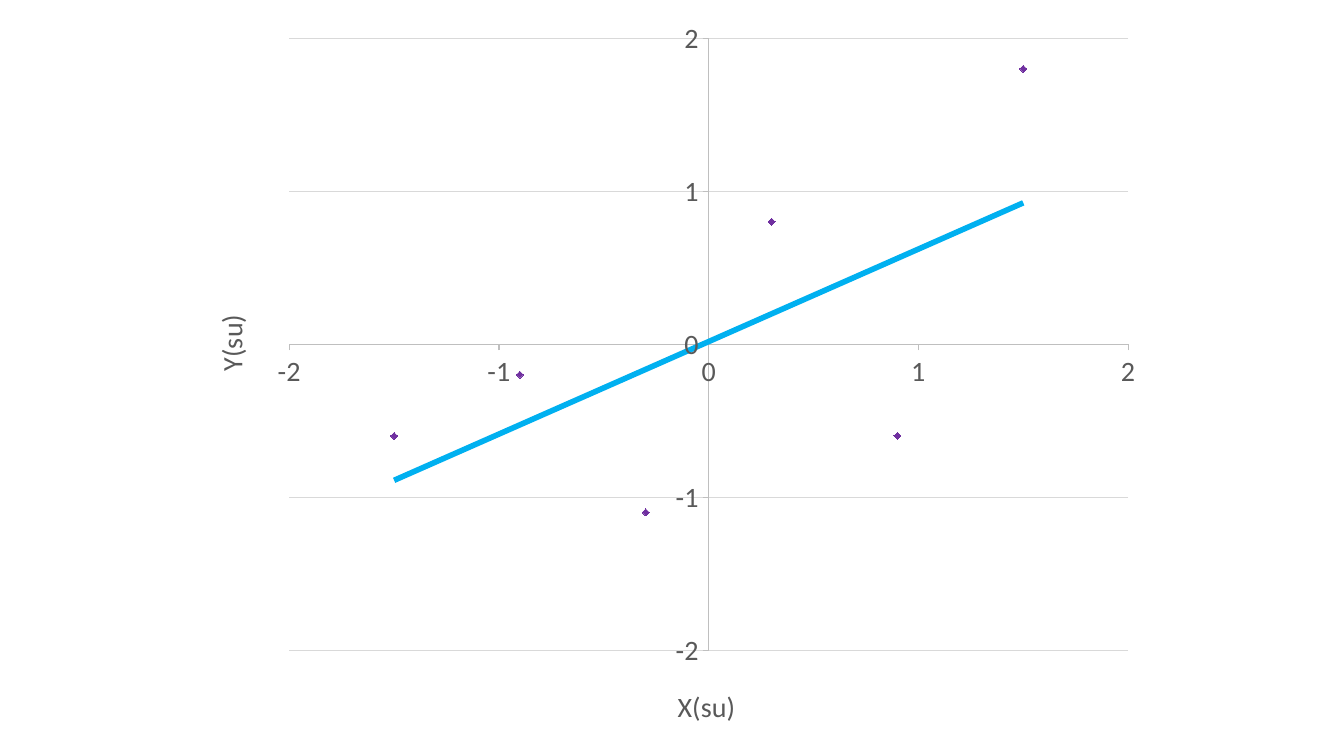
"""Build a slide with a scatter chart and its linear trend line."""
from dataclasses import dataclass

import pptx
import pptx.chart.data
import pptx.dml.color
import pptx.enum.chart
import pptx.oxml
import pptx.oxml.ns
import pptx.util

Inches, Pt = pptx.util.Inches, pptx.util.Pt
XL = pptx.enum.chart
NS = pptx.oxml.ns.nsdecls("c", "a")


@dataclass(frozen=True)
class Theme:
    font: str = "Calibri"
    size: int = 20
    text: str = "595959"
    axis: str = "BFBFBF"
    grid: str = "D9D9D9"
    marker: str = "7030A0"
    trend: str = "00B0F0"
    hairline: float = 0.75
    trend_width: int = 4


def rgb(value):
    return pptx.dml.color.RGBColor.from_string(value)


def assign(obj, values):
    for name, value in values.items():
        setattr(obj, name, value)


class SlideBuilder:
    def __init__(self, prs, theme):
        self.theme = theme
        self.slide = prs.slides.add_slide(prs.slide_layouts[6])

    def font(self, font):
        assign(font, {"name": self.theme.font, "size": Pt(self.theme.size), "bold": False})
        font.color.rgb = rgb(self.theme.text)

    def line(self, line, color):
        line.width = Pt(self.theme.hairline)
        line.color.rgb = rgb(color)

    def layout(self, frame, box, inner=False):
        left, top, width, height = frame
        scale = (width, height, width, height)
        offset = (left, top, 0, 0)
        parts = ['<c:layoutTarget val="inner"/>'] if inner else []
        parts += [f'<c:{k}Mode val="edge"/>' for k in "xy"]
        parts += [f'<c:{k} val="{(v - o) / s:.4f}"/>' for k, v, o, s in zip("xywh", box, offset, scale)]
        return pptx.oxml.parse_xml(
            f'<c:layout {NS}><c:manualLayout>{"".join(parts)}</c:manualLayout></c:layout>')

    def scatter(self, frame, plot_box, name, points):
        data = pptx.chart.data.XyChartData(number_format="0.0")
        series = data.add_series(name)
        for x, y in points:
            series.add_data_point(x, y)
        chart = self.slide.shapes.add_chart(
            XL.XL_CHART_TYPE.XY_SCATTER, *map(Inches, frame), data).chart
        assign(chart, {"has_legend": False, "has_title": False})
        self.font(chart.font)
        plot = chart.plots[0]
        plot.vary_by_categories = False
        area = chart._chartSpace.chart.plotArea
        for old in area.xpath("c:layout"):
            area.remove(old)
        area.insert(0, self.layout(frame, plot_box, inner=True))
        ser = plot.series[0]
        ser.format.line.fill.background()
        assign(ser.marker, {"style": XL.XL_MARKER_STYLE.DIAMOND, "size": 5})
        fmt = ser.marker.format
        fmt.fill.solid()
        fmt.fill.fore_color.rgb = rgb(self.theme.marker)
        self.line(fmt.line, self.theme.marker)
        return chart

    def axis(self, axis, frame, title, title_at, gridlines, rotation):
        assign(axis, {"minimum_scale": -2, "maximum_scale": 2, "major_unit": 1,
                      "major_tick_mark": XL.XL_TICK_MARK.OUTSIDE,
                      "minor_tick_mark": XL.XL_TICK_MARK.NONE,
                      "tick_label_position": XL.XL_TICK_LABEL_POSITION.NEXT_TO_AXIS,
                      "has_major_gridlines": gridlines, "has_title": True})
        assign(axis.tick_labels, {"number_format": "0", "number_format_is_linked": False})
        self.font(axis.tick_labels.font)
        self.line(axis.format.line, self.theme.axis)
        if gridlines:
            self.line(axis.major_gridlines.format.line, self.theme.grid)
        tf = axis.axis_title.text_frame
        p = tf.paragraphs[0]
        r = p.add_run()
        r.text = title
        self.font(r.font)
        element = axis.axis_title._element
        for body in element.xpath(".//a:bodyPr"):
            body.set("rot", str(rotation * 60000))
            body.set("vert", "horz")
        for old in element.xpath("c:layout"):
            element.remove(old)
        element.xpath("c:tx")[0].addnext(self.layout(frame, title_at))

    def trend_line(self, series):
        trend = pptx.oxml.parse_xml(
            f'<c:trendline {NS}><c:spPr><a:ln w="{Pt(self.theme.trend_width)}">'
            f'<a:solidFill><a:srgbClr val="{self.theme.trend}"/></a:solidFill></a:ln></c:spPr>'
            '<c:trendlineType val="linear"/><c:dispRSqr val="0"/><c:dispEq val="0"/></c:trendline>')
        series._element.xpath("c:xVal")[0].addprevious(trend)


prs = pptx.Presentation()
assign(prs, {"slide_width": Inches(13.33), "slide_height": Inches(7.5)})
s = SlideBuilder(prs, Theme())

frame = (1.88, 0.06, 9.57, 7.38)
points = [(-1.5, -0.6), (-0.9, -0.2), (-0.3, -1.1),
          (0.3, 0.8), (0.9, -0.6), (1.5, 1.8)]
chart = s.scatter(frame, (2.87, 0.38, 8.32, 6.07), "Series 1", points)
s.axis(chart.category_axis, frame, "X(su)", (6.67, 6.76), False, 0)
s.axis(chart.value_axis, frame, "Y(su)", (2.05, 3.07), True, -90)
s.trend_line(chart.plots[0].series[0])

prs.save("out.pptx")
